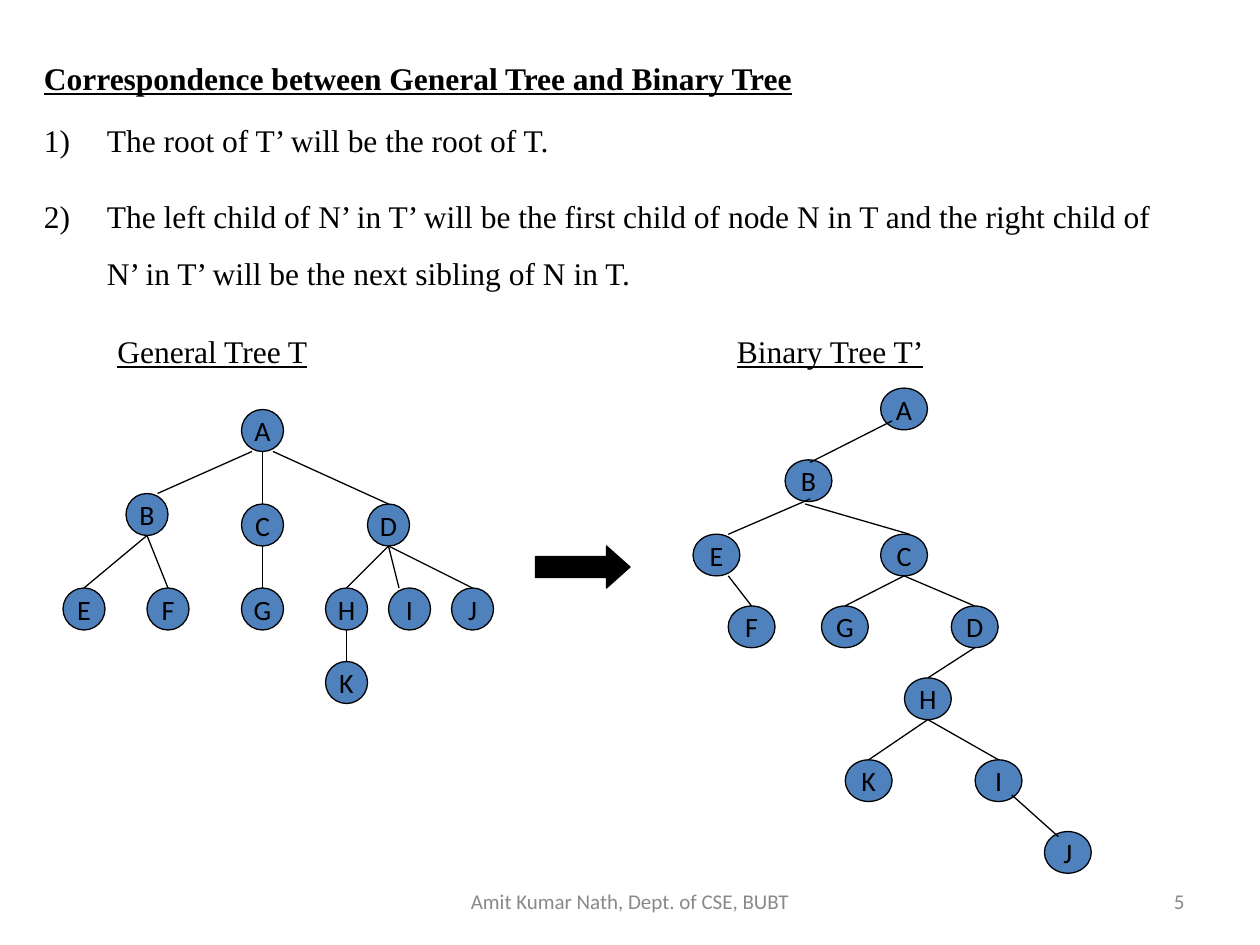
from pptx import Presentation
from pptx.dml.color import RGBColor
from pptx.enum.shapes import MSO_CONNECTOR, MSO_SHAPE
from pptx.enum.text import MSO_ANCHOR, PP_ALIGN
from pptx.oxml.ns import qn
from pptx.util import Pt
from lxml import etree

OVAL, ARROW = MSO_SHAPE.OVAL, MSO_SHAPE.RIGHT_ARROW
LINE = MSO_CONNECTOR.STRAIGHT
TOP, MID = MSO_ANCHOR.TOP, MSO_ANCHOR.MIDDLE
LEFT, MIDST, RIGHT = PP_ALIGN.LEFT, PP_ALIGN.CENTER, PP_ALIGN.RIGHT

THEME = {
    "ink": RGBColor(0, 0, 0),
    "node": RGBColor(0x4F, 0x81, 0xBD),
    "foot": RGBColor(0x89, 0x89, 0x89),
    "serif": "Times New Roman",
    "sans": "Calibri",
    "body": 18, "label": 16, "small": 12, "rule": 0.75,
}

TITLE = "Correspondence between General Tree and Binary Tree"
RULES = [
    "The root of T’ will be the root of T.",
    "The left child of N’ in T’ will be the first child of node N in T "
    "and the right child of N’ in T’ will be the next sibling of N in T.",
]
HEADS = [("General Tree T", 60, 336), ("Binary Tree T’", 414, 234)]
FOOT = [
    ("5", (516, 500.4, 168, 28.8), RIGHT),
    ("Amit Kumar Nath, Dept. of CSE, BUBT", (246, 500.4, 228, 28.8), MIDST),
]

# Node: centre x, top y. Edge nudges: start dx, dy, end dx, dy.
TREES = [
    {
        "size": (24, 24),
        "nodes": {
            "A": (150, 234), "B": (84, 282), "C": (150, 288),
            "D": (222, 288), "E": (48, 336), "F": (96, 336),
            "G": (150, 336), "H": (198, 336), "I": (234, 336),
            "J": (270, 336), "K": (198, 378),
        },
        "edges": "AC AB AD BF BE CG DI HK DH DJ",
        "nudge": {"AB": (-6, 0, 6, 0), "AD": (6, 0, 0, 0),
                  "DI": (0, 0, -6, 0)},
    },
    {
        "size": (26.8, 23.8),
        "nodes": {
            "A": (516.6, 221.8), "B": (462, 262.8), "E": (409.4, 305.3),
            "C": (516.6, 305.3), "F": (429.5, 346.3), "G": (482.8, 346.3),
            "D": (557, 346.3), "H": (530.2, 387.4), "K": (496.4, 434.2),
            "I": (570.6, 434.2), "J": (610.2, 475.2),
        },
        "edges": "AB BE BC EF CG CD DH HK HI IJ",
        "nudge": {"AB": (-6.8, -5.1, 1, 1.4), "BE": (1, -1.5, 6.8, 0),
                  "BC": (-1.9, 1.4, 3.2, 0), "EF": (6.8, 0, 0, 0),
                  "IJ": (7.6, -3.7, -5.4, 2.9)},
    },
]


def style(para, size, face, ink, align=LEFT, bold=False, under=False):
    para.alignment = align
    for run in para.runs:
        font = run.font
        font.size, font.name = Pt(size), face
        font.color.rgb = ink
        font.bold, font.underline = bold, under


def write(slide, box, lines, anchor=TOP, face=THEME["serif"],
          size=THEME["body"], ink=THEME["ink"], before=0, **look):
    frame = slide.shapes.add_textbox(*map(Pt, box)).text_frame
    frame.word_wrap = True
    frame.vertical_anchor = anchor
    frame.text = "\n".join(lines)
    for para in frame.paragraphs:
        style(para, size, face, ink, **look)
        para.space_before = Pt(before)
    return frame


def number(para):
    para.line_spacing = 1.5
    props = para._p.get_or_add_pPr()
    props.set("marL", str(Pt(36)))
    props.set("indent", str(-Pt(36)))
    etree.SubElement(props, qn("a:buAutoNum"), type="arabicParenR")


def paint(shape, fill):
    shape.shadow.inherit = False
    shape.fill.solid()
    shape.fill.fore_color.rgb = fill
    shape.line.color.rgb = THEME["ink"]
    shape.line.width = Pt(THEME["rule"])


def link(shapes, ends):
    line = shapes.add_connector(LINE, *map(Pt, ends))
    line.line.color.rgb = THEME["ink"]
    line.line.width = Pt(THEME["rule"])
    etree.SubElement(line._element.spPr, qn("a:effectLst"))


def draw(slide, tree):
    shapes = slide.shapes.add_group_shape().shapes
    wide, high = tree["size"]
    nodes = tree["nodes"]
    for name, (mid, top) in nodes.items():
        box = (mid - wide / 2, top, wide, high)
        node = shapes.add_shape(OVAL, *map(Pt, box))
        paint(node, THEME["node"])
        frame = node.text_frame
        frame.word_wrap = False
        frame.vertical_anchor = MID
        frame.text = name
        style(frame.paragraphs[0], THEME["label"], THEME["sans"],
              THEME["ink"], MIDST)
    for edge in tree["edges"].split():
        (x1, y1), (x2, y2) = (nodes[name] for name in edge)
        ends = (x1, y1 + high, x2, y2)
        nudge = tree["nudge"].get(edge, (0, 0, 0, 0))
        link(shapes, [a + b for a, b in zip(ends, nudge)])


def main():
    deck = Presentation()
    deck.slide_width, deck.slide_height = Pt(720), Pt(540)
    slide = deck.slides.add_slide(deck.slide_layouts[6])
    write(slide, (18, 30, 702, 29), [TITLE], MID, bold=True, under=True)
    rules = write(slide, (18, 54.6, 666, 116), RULES, before=11.2)
    for para in rules.paragraphs:
        number(para)
    for text, left, wide in HEADS:
        write(slide, (left, 186, wide, 29), [text], before=11.2, under=True)
    for tree in TREES:
        draw(slide, tree)
    arrow = slide.shapes.add_shape(ARROW, *map(Pt, (306, 312, 54, 24)))
    arrow.adjustments[0], arrow.adjustments[1] = 0.5, 0.56
    paint(arrow, THEME["ink"])
    for text, box, align in FOOT:
        write(slide, box, [text], MID, THEME["sans"], THEME["small"],
              THEME["foot"], align=align)
    deck.save("out.pptx")


if __name__ == "__main__":
    main()
